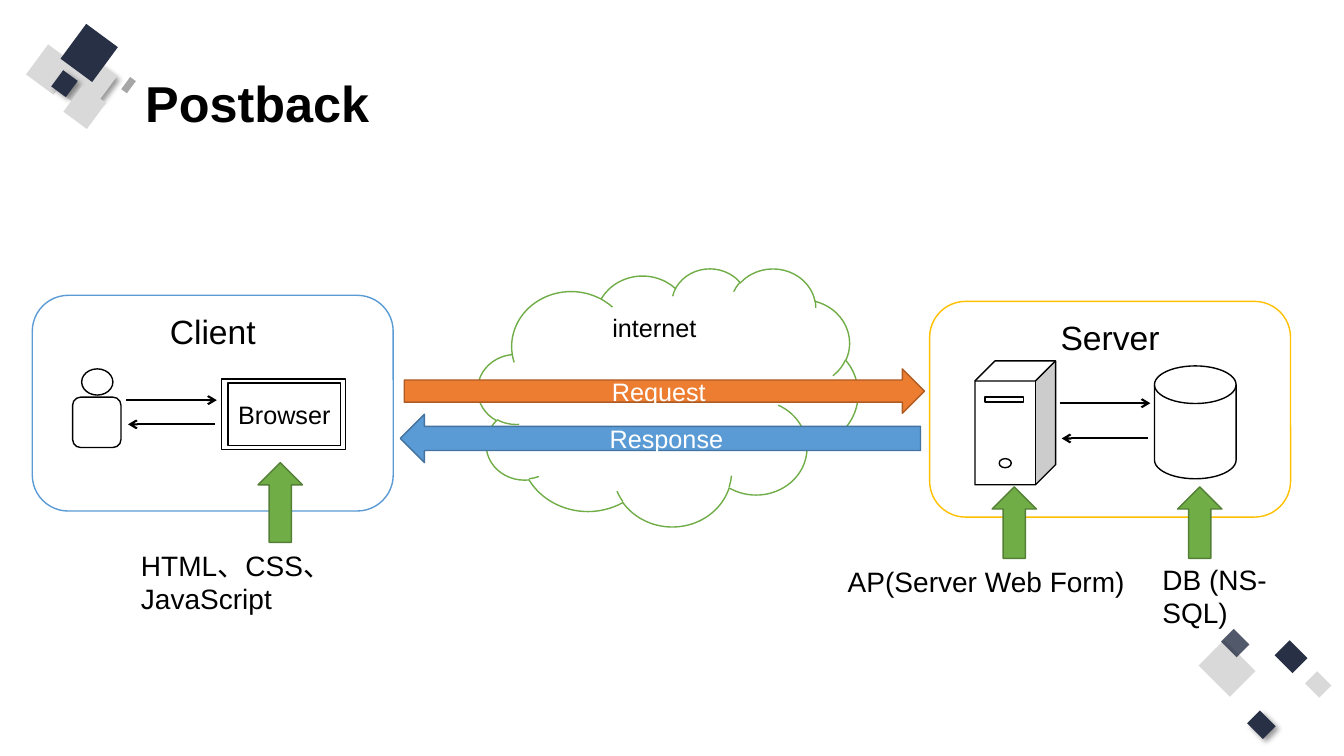
from pptx import Presentation
from pptx.dml.color import RGBColor
from pptx.enum.shapes import MSO_CONNECTOR, MSO_SHAPE as Shape
from pptx.enum.text import MSO_ANCHOR as Anchor, PP_ALIGN as Align
from pptx.oxml import parse_xml
from pptx.oxml.ns import nsdecls, qn
from pptx.util import Inches, Pt
from lxml.etree import SubElement

COLORS = {
    "black": "000000", "white": "FFFFFF", "navy": "273045",
    "light": "D9D9D9", "grey": "A6A6A6",
    "blue": "5B9BD5", "dark_blue": "43739E",
    "green": "70AD47", "dark_green": "538035",
    "orange": "ED7D31", "dark_orange": "AF5C24", "gold": "FFC000",
}

CORNER_TILES = [
    (1.2, 0.81, 0.15, 0.07, 306.4, "grey", {}),
    (0.32, 0.52, 0.37, 0.34, 306.4, "light", {}),
    (0.8, 0.66, 0.31, 0.28, 306.4, "light", {"shadow": True}),
    (0.69, 0.61, 0.19, 0.17, 306.4, "light", {}),
    (0.56, 0.66, 0.33, 0.3, 306.4, "light", {}),
    (0.54, 0.74, 0.2, 0.18, 306.4, "navy", {"shadow": True}),
    (0.67, 0.33, 0.43, 0.39, 306.4, "navy", {}),
    (0.68, 0.92, 0.32, 0.29, 306.4, "light", {}),
    (12.7, 6.39, 0.21, 0.25, 315, "navy", {}),
    (12.99, 6.69, 0.17, 0.2, 315, "light", {}),
    (11.99, 6.41, 0.36, 0.44, 135, "light", {}),
    (12.42, 7.08, 0.18, 0.22, 135, "navy", {"shadow": True}),
    (12.16, 6.27, 0.18, 0.22, 135, "navy", {"alpha": 80}),
]


def rgb(name):
    return RGBColor.from_string(COLORS[name])


def write(shape, text, size=18, color="black", bold=False,
          align=Align.CENTER, anchor=Anchor.MIDDLE):
    frame = shape.text_frame
    frame.word_wrap = True
    frame.vertical_anchor = anchor
    para = frame.paragraphs[0]
    para.alignment = align
    span = para.add_run()
    span.text = text
    span.font.name = "Arial"
    span.font.size = Pt(size)
    span.font.bold = bold
    span.font.color.rgb = rgb(color)
    return para


def add_box(page, kind, left, top, width, height, fill="white", line="black"):
    box = page.shapes.add_shape(kind, *map(Inches, (left, top, width, height)))
    box.shadow.inherit = False
    box.fill.solid()
    box.fill.fore_color.rgb = rgb(fill)
    if line:
        box.line.color.rgb = rgb(line)
        box.line.width = Pt(1)
    else:
        box.line.fill.background()
    return box


def add_tile(page, left, top, width, height, turn, fill, shadow=False, alpha=None):
    tile = add_box(page, Shape.RECTANGLE, left, top, width, height, fill, None)
    tile.rotation = turn
    properties = tile._element.spPr
    if alpha:
        color = properties.find(qn("a:solidFill"))[0]
        SubElement(color, qn("a:alpha"), val=str(alpha * 1000))
    if shadow:
        effects = properties.find(qn("a:effectLst"))
        effects.append(parse_xml(
            f'<a:outerShdw {nsdecls("a")} blurRad="{Pt(4)}" dist="{Pt(3)}" '
            f'dir="{45 * 60000}" algn="tl" rotWithShape="0">'
            '<a:srgbClr val="000000"><a:alpha val="40000"/></a:srgbClr>'
            '</a:outerShdw>'))


def add_arrow(page, start, end, height):
    arrow = page.shapes.add_connector(
        MSO_CONNECTOR.STRAIGHT, *map(Inches, (start, height, end, height)))
    arrow.line.color.rgb = rgb("black")
    arrow.line.width = Pt(1.5)
    SubElement(arrow.line._get_or_add_ln(), qn("a:tailEnd"), type="arrow")
    SubElement(arrow._element.spPr, qn("a:effectLst"))


def add_exchange(page, left, upper, lower):
    add_arrow(page, left, left + 0.9, upper)
    add_arrow(page, left + 0.88, left + 0.02, lower)


def add_technology(page, text, left, top, width, arrow_left, arrow_top, arrow_height):
    add_box(page, Shape.UP_ARROW, arrow_left, arrow_top, 0.44, arrow_height,
            "green", "dark_green")
    label = page.shapes.add_textbox(*map(Inches, (left, top, width, 0.44)))
    write(label, text, size=20, align=Align.LEFT, anchor=Anchor.TOP)


def add_title(page, text):
    title = page.shapes.title
    title.left, title.top = Inches(1.34), Inches(0.4)
    title.width, title.height = Inches(10.55), Inches(1.3)
    write(title, text, size=36, bold=True, align=Align.LEFT).line_spacing = 0.9


def add_zones(page):
    for kind, text, size, line, place in (
        (Shape.ROUNDED_RECTANGLE, "Client", 24, "blue", (0.32, 2.93, 3.58, 2.14)),
        (Shape.CLOUD, "internet", 18, "green", (4.74, 2.66, 3.77, 2.56)),
        (Shape.ROUNDED_RECTANGLE, "Server", 24, "gold", (9.22, 2.99, 3.58, 2.14)),
    ):
        zone = add_box(page, kind, *place, line=line)
        write(zone, text, size=size, anchor=Anchor.TOP)


def add_messages(page):
    request = add_box(page, Shape.RIGHT_ARROW, 4.01, 3.66, 5.16, 0.44,
                      "orange", "dark_orange")
    write(request, "Request", color="white")
    response = add_box(page, Shape.LEFT_ARROW, 3.97, 4.11, 5.16, 0.48,
                       "blue", "dark_blue")
    write(response, "Response", color="white")


def add_client_parts(page):
    add_box(page, Shape.RECTANGLE, 2.2, 3.76, 1.23, 0.7)
    browser = add_box(page, Shape.RECTANGLE, 2.26, 3.8, 1.12, 0.62)
    write(browser, "Browser")
    add_box(page, Shape.OVAL, 0.81, 3.66, 0.31, 0.26)
    add_box(page, Shape.ROUNDED_RECTANGLE, 0.72, 3.94, 0.48, 0.5)
    add_exchange(page, 1.25, 3.97, 4.21)


def add_server_parts(page):
    add_box(page, Shape.CUBE, 9.67, 3.58, 0.8, 1.23)
    add_box(page, Shape.OVAL, 9.91, 4.55, 0.12, 0.09)
    add_box(page, Shape.RECTANGLE, 9.77, 3.94, 0.38, 0.05)
    add_box(page, Shape.FLOWCHART_MAGNETIC_DISK, 11.45, 3.63, 0.81, 1.12)
    add_exchange(page, 10.51, 4, 4.35)


def main():
    deck = Presentation()
    deck.slide_width, deck.slide_height = Inches(13.33), Inches(7.5)
    page = deck.slides.add_slide(deck.slide_layouts[5])
    for *place, style in CORNER_TILES:
        add_tile(page, *place, **style)
    add_title(page, "Postback")
    add_zones(page)
    add_messages(page)
    add_client_parts(page)
    add_server_parts(page)
    add_technology(page, "HTML、CSS、 JavaScript", 1.3, 5.39, 3.03, 2.56, 4.59, 0.79)
    add_technology(page, "AP(Server Web Form)", 8.31, 5.55, 3.17, 9.84, 4.83, 0.71)
    add_technology(page, "DB (NS-SQL)", 11.43, 5.53, 1.65, 11.68, 4.83, 0.71)
    deck.save("out.pptx")


main()
